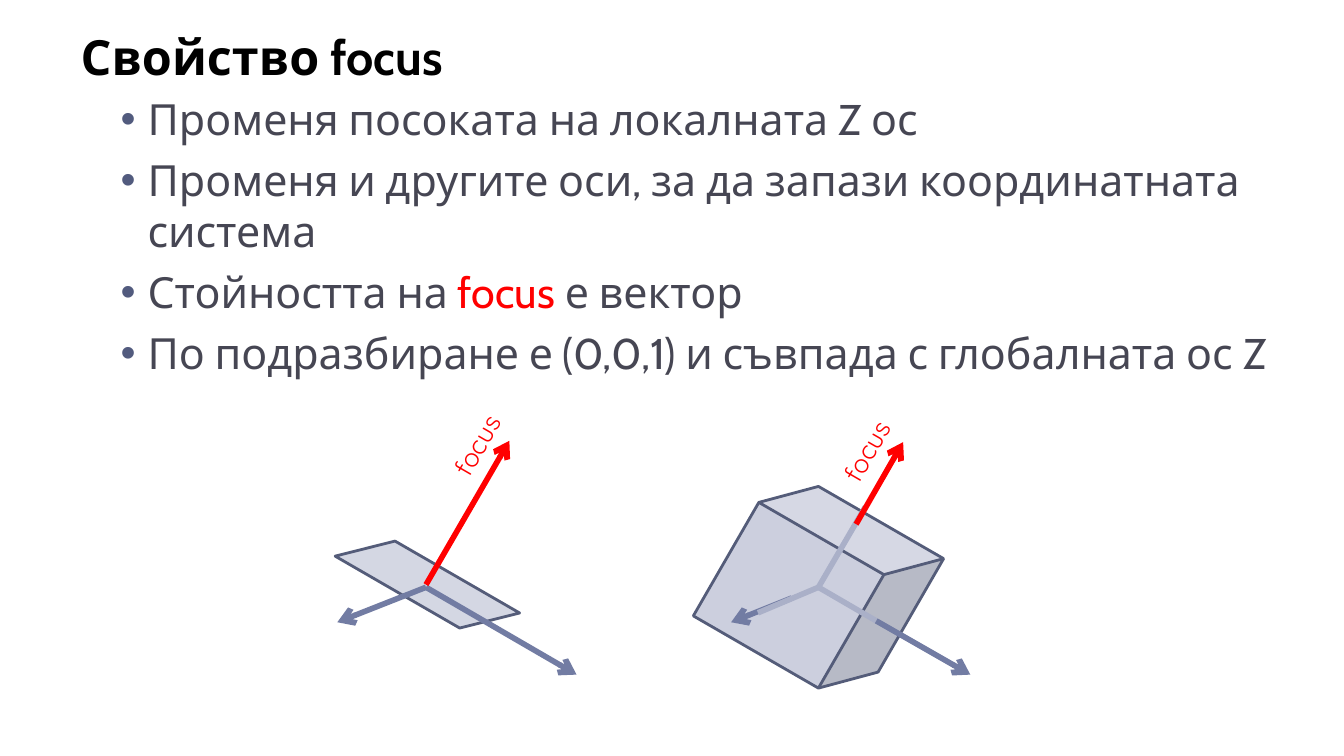
from lxml import etree
from pptx import Presentation
from pptx.dml.color import RGBColor
from pptx.enum.shapes import MSO_CONNECTOR, MSO_SHAPE
from pptx.enum.text import MSO_ANCHOR, MSO_AUTO_SIZE, PP_ALIGN
from pptx.oxml.ns import qn
from pptx.util import Inches, Pt

BLACK, TEXT, RED = "000000", "464653", "FF0000"
AXIS, HIDDEN_AXIS, OUTLINE, BULLET = "727CA3", "AAB0C8", "545C79", "525B7E"


def color(hex_string):
    return RGBColor.from_string(hex_string)


def add_run(paragraph, text, size, hex_string, font="Cabin", bold=False):
    run = paragraph.add_run()
    run.text = text
    run.font.name = font
    run.font.size = Pt(size)
    run.font.bold = bold
    run.font.color.rgb = color(hex_string)


def place(shape, left, top, width, height):
    shape.left, shape.top = Inches(left), Inches(top)
    shape.width, shape.height = Inches(width), Inches(height)


def prepare_frame(shape, anchor=MSO_ANCHOR.TOP):
    frame = shape.text_frame
    frame.word_wrap = True
    frame.auto_size = MSO_AUTO_SIZE.NONE
    frame.vertical_anchor = anchor
    frame.margin_left = frame.margin_right = Inches(0.1)
    frame.margin_top = frame.margin_bottom = 0
    return frame


def add_title(slide, left, top, width, height):
    title = slide.shapes.title
    place(title, left, top, width, height)
    paragraph = prepare_frame(title).paragraphs[0]
    paragraph.alignment = PP_ALIGN.LEFT
    add_run(paragraph, "Свойство focus", 26, BLACK, bold=True)


def add_bullet(paragraph):
    properties = paragraph._p.get_or_add_pPr()
    properties.set("marL", str(Inches(0.5)))
    properties.set("indent", str(Inches(-0.2)))
    bullet_color = etree.SubElement(properties, qn("a:buClr"))
    etree.SubElement(bullet_color, qn("a:srgbClr"), val=BULLET)
    etree.SubElement(properties, qn("a:buFont"), typeface="Arial")
    etree.SubElement(properties, qn("a:buChar"), char="•")


def add_bullets(slide, left, top, width, height):
    items = [
        [("Променя посоката на локалната Z ос", TEXT)],
        [("Променя и другите оси, за да запази координатната система", TEXT)],
        [("Стойността на ", TEXT), ("focus ", RED), ("е вектор", TEXT)],
        [("По подразбиране е (0,0,1) и съвпада с глобалната ос Z", TEXT)],
    ]
    box = slide.shapes.add_textbox(0, 0, 0, 0)
    place(box, left, top, width, height)
    frame = prepare_frame(box)
    for index, item in enumerate(items):
        paragraph = frame.add_paragraph() if index else frame.paragraphs[0]
        add_bullet(paragraph)
        paragraph.space_before = Pt(5 if index else 0)
        for text, hex_string in item:
            add_run(paragraph, text, 23, hex_string)


def add_solid(shapes, preset, box, fill, opacity):
    shape = shapes.add_shape(preset, 0, 0, 0, 0)
    place(shape, *box)
    shape.rotation = 30
    shape.shadow.inherit = False
    shape.fill.solid()
    shape.fill.fore_color.rgb = color(fill)
    fill_color = shape.fill._xPr.find(".//" + qn("a:srgbClr"))
    etree.SubElement(fill_color, qn("a:alpha"), val=str(opacity * 1000))
    shape.line.color.rgb = color(OUTLINE)
    shape.line.width = Pt(1.5)
    return shape


def add_axis(shapes, x, y, start, end, hex_string, arrow=True):
    line = shapes.add_connector(
        MSO_CONNECTOR.STRAIGHT,
        Inches(x + start[0]), Inches(y + start[1]),
        Inches(x + end[0]), Inches(y + end[1]),
    )
    line.line.color.rgb = color(hex_string)
    line.line.width = Pt(3)
    if arrow:
        etree.SubElement(line.line._get_or_add_ln(), qn("a:tailEnd"), type="arrow")
    etree.SubElement(line._element.spPr, qn("a:effectLst"))


def add_label(slide, left, top):
    label = slide.shapes.add_textbox(0, 0, 0, 0)
    place(label, left, top, 0.9, 0.4)
    label.rotation = 300
    frame = prepare_frame(label, MSO_ANCHOR.MIDDLE)
    add_run(frame.paragraphs[0], "focus", 14, RED, font="Quicksand")


def add_plane_figure(slide, x, y):
    """Tilted plane with its axes meeting at (x, y)."""
    shapes = slide.shapes.add_group_shape().shapes
    plane = add_solid(shapes, MSO_SHAPE.PARALLELOGRAM,
                      (x - 0.69, y - 0.18, 1.4, 0.32), AXIS, 30)
    plane.adjustments[0] = 1.03
    add_axis(shapes, x, y, (0, 0), (-0.66, 0.26), AXIS)
    add_axis(shapes, x, y, (0, 0), (1.12, 0.65), AXIS)
    add_axis(shapes, x, y, (0, -0.02), (0.62, -1.09), RED)
    add_label(slide, x - 0.02, y - 1.35)


def add_cube_figure(slide, x, y):
    """Tilted cube with its axes meeting at (x, y), paler inside the cube."""
    shapes = slide.shapes.add_group_shape().shapes
    add_solid(shapes, MSO_SHAPE.CUBE, (x - 0.7, y - 0.65, 1.4, 1.3), HIDDEN_AXIS, 60)
    add_axis(shapes, x, y, (-0.2, 0.08), (-0.65, 0.26), AXIS)
    for end in [(0.35, -0.6), (0.43, 0.25), (-0.45, 0.19)]:
        add_axis(shapes, x, y, (0, 0), end, HIDDEN_AXIS, arrow=False)
    add_axis(shapes, x, y, (0.43, 0.25), (1.13, 0.65), AXIS)
    add_axis(shapes, x, y, (0.28, -0.47), (0.63, -1.08), RED)
    add_label(slide, x - 0.04, y - 1.31)


def main():
    presentation = Presentation()
    presentation.slide_width = Inches(10)
    presentation.slide_height = Inches(10) * 9 // 16
    slide = presentation.slides.add_slide(presentation.slide_layouts[5])

    # Text
    add_title(slide, 0.5, 0.2, 9.33, 0.48)
    add_bullets(slide, 0.5, 0.69, 9.33, 2.2)

    # Figures
    add_plane_figure(slide, 3.17, 4.37)
    add_cube_figure(slide, 6.09, 4.37)

    presentation.save("out.pptx")


if __name__ == "__main__":
    main()
